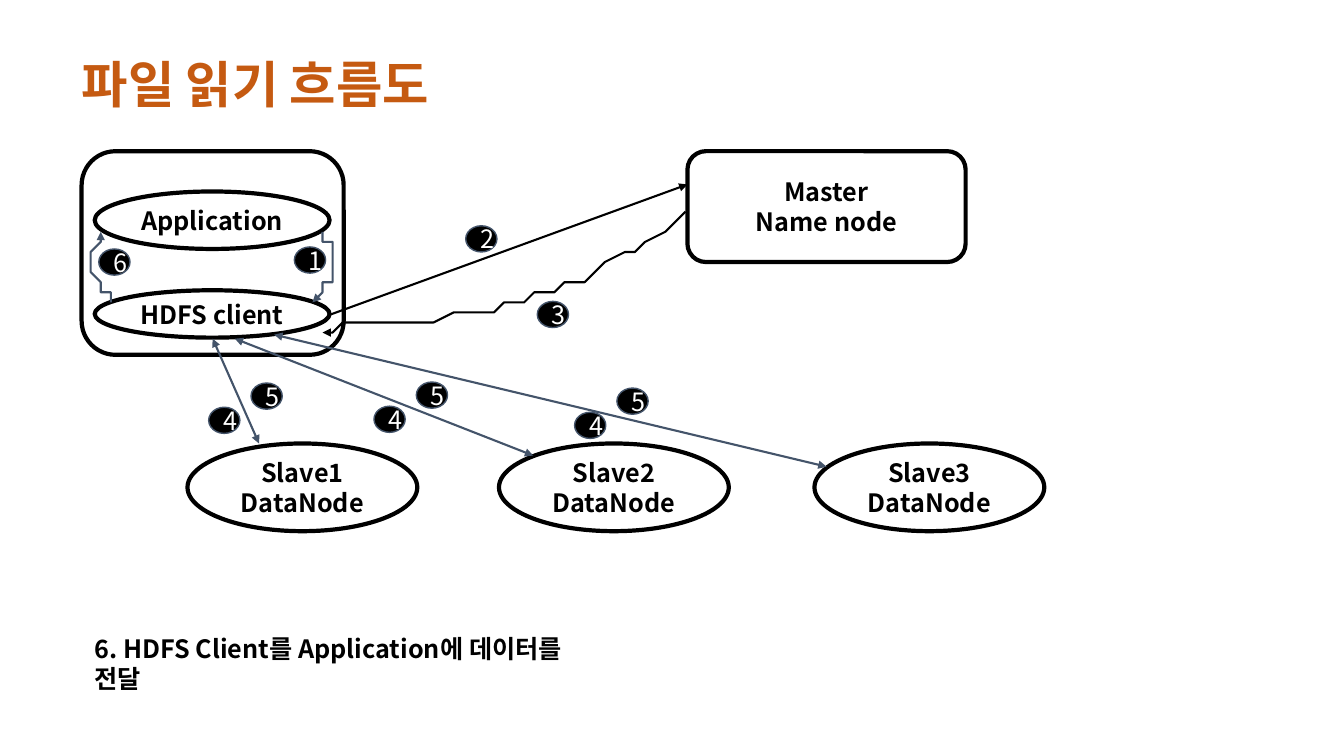
from dataclasses import dataclass

from lxml.etree import SubElement
from pptx import Presentation
from pptx.dml.color import RGBColor as RGB
from pptx.enum.shapes import MSO_CONNECTOR as CONNECTOR, MSO_SHAPE as SHAPE
from pptx.enum.text import MSO_ANCHOR as ANCHOR, MSO_AUTO_SIZE as AUTO, PP_ALIGN as ALIGN
from pptx.oxml.ns import qn
from pptx.util import Inches, Pt


@dataclass(frozen=True)
class Theme:
    font: str = "Noto Sans CJK KR"
    accent: RGB = RGB(0xC5, 0x5A, 0x11)
    ink: RGB = RGB(0, 0, 0)
    paper: RGB = RGB(255, 255, 255)
    slate: RGB = RGB(0x44, 0x54, 0x6A)
    title: Pt = Pt(36)
    text: Pt = Pt(18)
    border: Pt = Pt(3)
    arrow: Pt = Pt(1.5)
    thin: Pt = Pt(1)


T = Theme()
CELL = Inches(0.1)  # the slide is a grid of 133.3 columns by 75 rows


def add_text(tf, lines, size, color, align, bold=True):
    for i, line in enumerate(lines):
        p = tf.paragraphs[0] if i == 0 else tf.add_paragraph()
        p.alignment = align
        r = p.add_run()
        r.text = line
        r.font.size, r.font.bold, r.font.name = size, bold, T.font
        r.font.color.rgb = color
        SubElement(r.font._element, qn("a:ea")).set("typeface", T.font)


def add_node(kind, box, lines, fill, line, width, color, bold):
    sp = slide.shapes.add_shape(kind, *(int(v * CELL) for v in box))
    sp.shadow.inherit = False
    sp.fill.solid()
    sp.fill.fore_color.rgb = fill
    sp.line.color.rgb = line
    sp.line.width = width
    sp.text_frame.vertical_anchor = ANCHOR.MIDDLE
    add_text(sp.text_frame, lines, T.text, color, ALIGN.CENTER, bold)


prs = Presentation()
prs.slide_width, prs.slide_height = int(133.33 * CELL), 75 * CELL
slide = prs.slides.add_slide(prs.slide_layouts[5])

# Title
title = slide.shapes.title
title.left, title.top, title.width, title.height = (int(v * CELL) for v in (7.1, 0, 95, 11.7))
tf = title.text_frame
tf.vertical_anchor, tf.auto_size = ANCHOR.BOTTOM, AUTO.NONE
add_text(tf, ["파일 읽기 흐름도"], T.title, T.accent, ALIGN.LEFT)
tf.paragraphs[0].line_spacing = 0.8

# Client, master and slave nodes
nodes = [
    (SHAPE.ROUNDED_RECTANGLE, (8.1, 15, 26, 20.2), []),
    (SHAPE.OVAL, (9.4, 28.8, 23.3, 4.7), ["HDFS client"]),
    (SHAPE.ROUNDED_RECTANGLE, (68.2, 15, 27.6, 11), ["Master", "Name node"]),
    (SHAPE.OVAL, (9.4, 19, 23.3, 5.7), ["Application"]),
]
for n, left in enumerate((18.6, 49.5, 80.8), start=1):
    nodes.append((SHAPE.OVAL, (left, 44, 22.8, 8.7), [f"Slave{n}", "DataNode"]))
for kind, box, lines in nodes:
    add_node(kind, box, lines, T.paper, T.ink, T.border, T.ink, True)

# Arrows: two points make a straight line, seven make two joined Bezier curves
arrows = [
    (T.slate, False, [(32.1, 23.2), (32.8, 24.1), (33.5, 25), (33.3, 26.1),
                      (33.1, 27.2), (31.2, 30.2), (30.9, 29.8)]),
    (T.ink, False, [(32.8, 31.2), (68.2, 18.3)]),
    (T.ink, False, [(68.2, 21), (63.1, 24.6), (57.9, 28.1), (51.9, 30),
                    (45.9, 32), (35.6, 31.9), (32.1, 32.7)]),
    (T.slate, True, [(21.1, 33.6), (25.7, 44)]),
    (T.slate, True, [(23.3, 33.6), (52.9, 45.2)]),
    (T.slate, True, [(27.2, 33.2), (82, 46.3)]),
    (T.slate, False, [(11.3, 29.8), (9.9, 29.1), (9.4, 27.7), (9.3, 26.5),
                      (9.1, 25.3), (9.7, 24.1), (10.3, 22.8)]),
]
STEPS = 12
for color, two_way, points in arrows:
    if len(points) == 2:
        ends = (int(v * CELL) for point in points for v in point)
        sp = slide.shapes.add_connector(CONNECTOR.STRAIGHT, *ends)
    else:
        curve = []
        for start in (0, 3):
            for step in range(1, STEPS + 1):
                t = step / STEPS
                weights = ((1 - t) ** 3, 3 * t * (1 - t) ** 2, 3 * t * t * (1 - t), t ** 3)
                axes = zip(*points[start:start + 4])
                curve.append(tuple(sum(w * v for w, v in zip(weights, axis)) for axis in axes))
        outline = slide.shapes.build_freeform(*points[0], scale=CELL)
        outline.add_line_segments(curve, close=False)
        sp = outline.convert_to_shape()
        sp.fill.background()
    sp.line.color.rgb = color
    sp.line.width = T.arrow
    ln = sp.line._get_or_add_ln()
    for tag in ("a:headEnd", "a:tailEnd") if two_way else ("a:tailEnd",):
        SubElement(ln, qn(tag)).set("type", "triangle")
    SubElement(sp._element.spPr, qn("a:effectLst"))

# Step numbers; each slave has a 4 with a 5 above and right of it
steps = [("1", 29.2, 24.5), ("2", 46.2, 22.4), ("3", 53.3, 29.9), ("6", 9.8, 24.7)]
for left, top in ((20.7, 40.4), (37.1, 40.3), (57, 40.9)):
    steps += [("4", left, top), ("5", left + 4.2, top - 2.4)]
for number, left, top in steps:
    add_node(SHAPE.OVAL, (left, top, 3.1, 2.6), [number], T.ink, T.slate, T.thin, T.paper, False)

# Caption
caption = slide.shapes.add_textbox(*(int(v * CELL) for v in (8.4, 62.3, 51.4, 4)))
tf = caption.text_frame
tf.word_wrap, tf.auto_size = True, AUTO.SHAPE_TO_FIT_TEXT
add_text(tf, ["6. HDFS Client를 Application에 데이터를 전달"], T.text, T.ink, ALIGN.LEFT)

prs.save("out.pptx")
